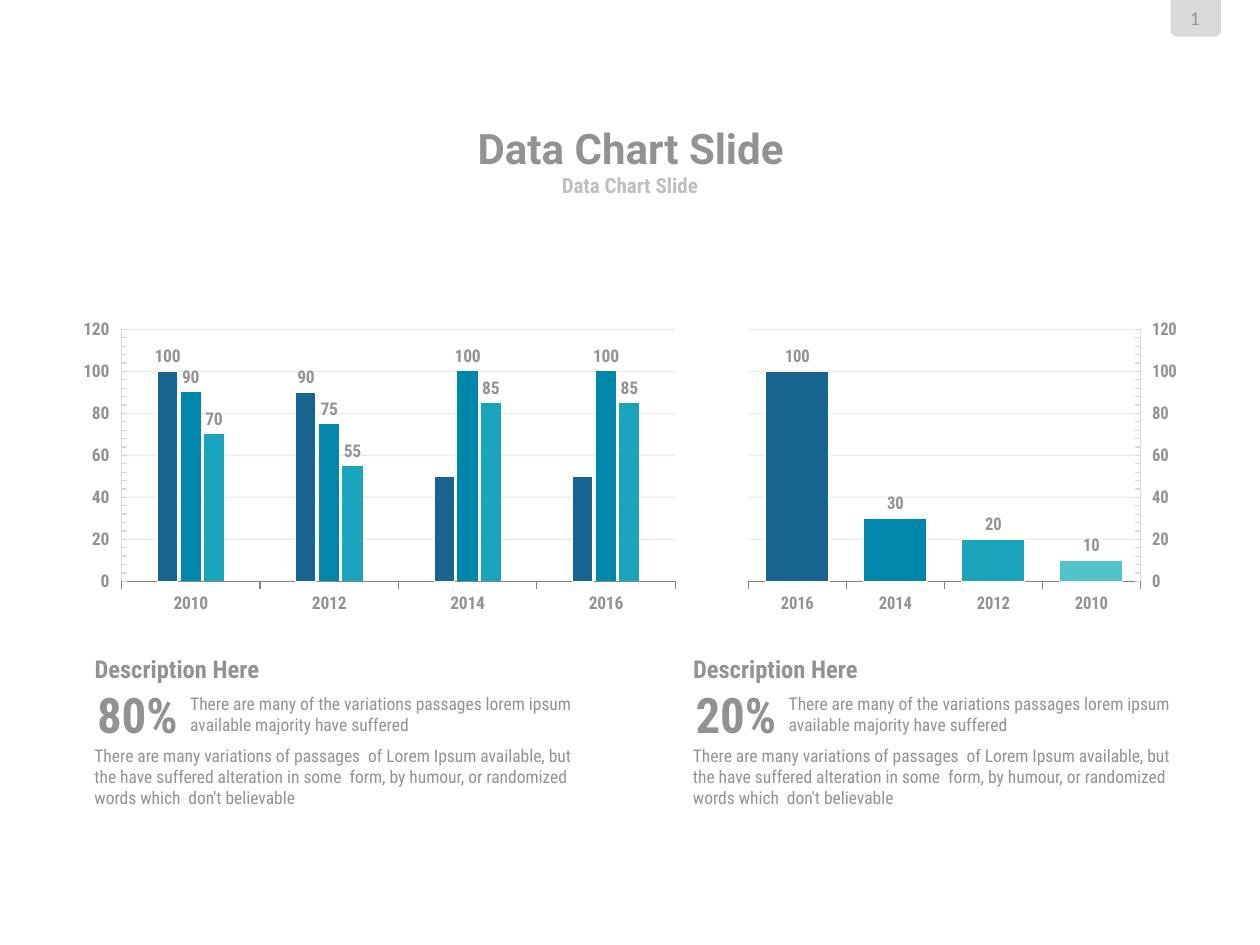
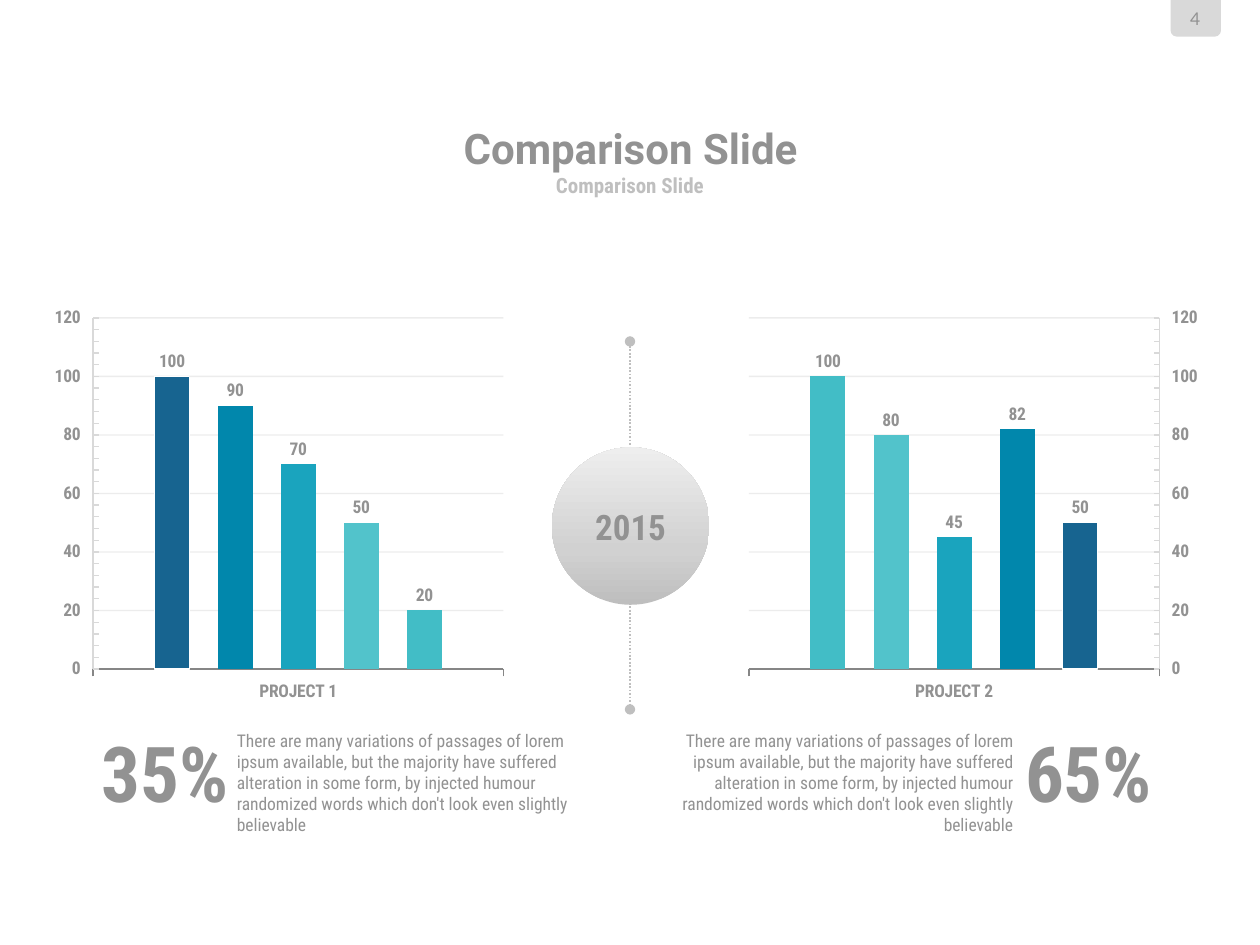
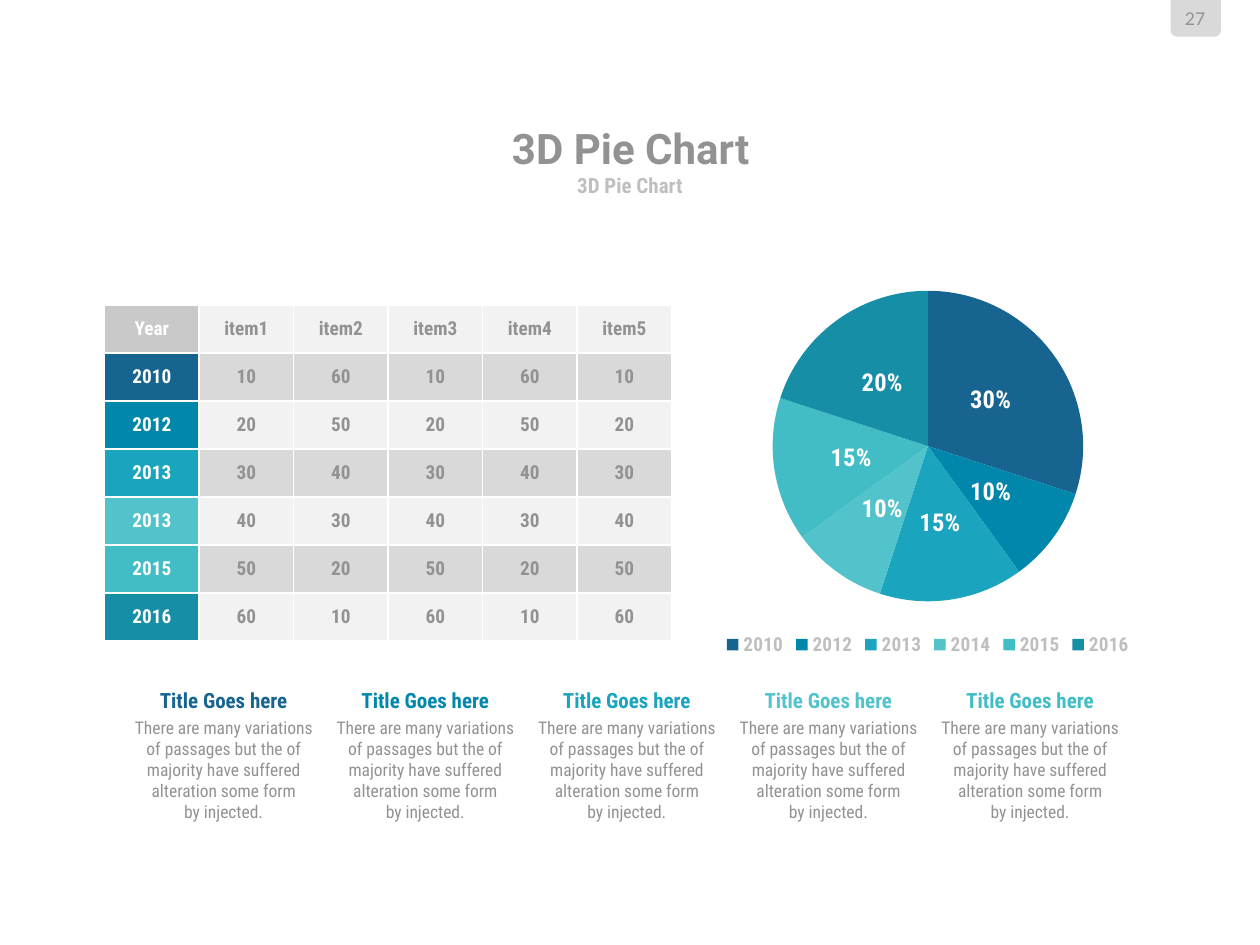
from dataclasses import dataclass
from typing import Optional

from lxml import etree
from pptx import Presentation
from pptx.chart.data import CategoryChartData
from pptx.dml.color import RGBColor
from pptx.enum.chart import (XL_CHART_TYPE, XL_LABEL_POSITION, XL_LEGEND_POSITION,
                             XL_TICK_LABEL_POSITION, XL_TICK_MARK)
from pptx.enum.dml import MSO_LINE
from pptx.enum.shapes import MSO_CONNECTOR, MSO_SHAPE
from pptx.enum.text import MSO_ANCHOR, PP_ALIGN
from pptx.oxml import parse_xml
from pptx.oxml.ns import nsdecls, qn
from pptx.util import Inches, Pt

GRAY, SILVER, LIGHT, PALE, WHITE = "929292", "BFBFBF", "D9D9D9", "F2F2F2", "FFFFFF"
HEADER, AXIS = "C9C9C9", "868686"
PALETTE = ["176490", "0187AC", "1AA4BE", "52C3CB", "42BDC6", "168EA6"]
FONT, TITLE_FONT, NUMBER_FONT = "Roboto Condensed", "Roboto", "Lato"
LEFT, CENTER, RIGHT = PP_ALIGN.LEFT, PP_ALIGN.CENTER, PP_ALIGN.RIGHT


@dataclass
class Box:
    x: float
    y: float
    w: float
    h: float

    def emu(self):
        return [Inches(v) for v in (self.x, self.y, self.w, self.h)]


@dataclass
class Style:
    size: float
    bold: bool = False
    color: str = GRAY
    font: str = FONT


@dataclass
class Bars:
    """One column series; only the first `labelled` points get a label, or all if None."""
    values: list
    labelled: Optional[int] = None
    point_colors: tuple = ()


@dataclass
class ColumnChart:
    box: Box
    categories: list
    series: list
    gap: int
    overlap: int
    mirrored: bool = False
    fixed_plot: bool = False


BODY = Style(10)


def rgb(color: str) -> RGBColor:
    return RGBColor.from_string(color)


def set_font(font, style: Style) -> None:
    font.name, font.size, font.bold = style.font, Pt(style.size), style.bold
    font.color.rgb = rgb(style.color)


def add_text(slide, box: Box, text: str, style: Style, align=LEFT,
             anchor=MSO_ANCHOR.TOP, wrap: bool = True) -> None:
    tf = slide.shapes.add_textbox(*box.emu()).text_frame
    tf.word_wrap, tf.vertical_anchor = wrap, anchor
    tf.margin_left = tf.margin_right = tf.margin_top = tf.margin_bottom = 0
    p = tf.paragraphs[0]
    p.text, p.alignment = text, align
    set_font(p.font, style)


def new_slide(prs, title: str, number: int):
    """Blank slide with the page tab, title and subtitle."""
    slide = prs.slides.add_slide(prs.slide_layouts[6])
    tab = slide.shapes.add_shape(MSO_SHAPE.ROUND_2_SAME_RECTANGLE, *Box(9.29, 0, 0.4, 0.29).emu())
    tab.rotation = 180
    tab.shadow.inherit = False
    tab.fill.solid()
    tab.fill.fore_color.rgb = rgb(LIGHT)
    tab.line.fill.background()
    middle = MSO_ANCHOR.MIDDLE
    add_text(slide, Box(9.32, 0.06, 0.33, 0.17), str(number),
             Style(10, font=NUMBER_FONT), CENTER, middle)
    add_text(slide, Box(1.92, 0.98, 6.17, 0.39), title,
             Style(24, True, font=TITLE_FONT), CENTER, middle, wrap=False)
    add_text(slide, Box(2.75, 1.36, 4.5, 0.22), title,
             Style(12, True, SILVER), CENTER, middle, wrap=False)
    return slide


def fix_plot_area(chart, x: float, y: float, w: float, h: float) -> None:
    """Place the inner plot area by fractions of the chart."""
    area = chart._chartSpace.chart.plotArea
    for old in area.findall(qn("c:layout")):
        area.remove(old)
    parts = "".join(f'<c:{tag} val="{val}"/>' for tag, val in (
        ("layoutTarget", "inner"), ("xMode", "edge"), ("yMode", "edge"),
        ("x", x), ("y", y), ("w", w), ("h", h)))
    area.insert(0, parse_xml(f'<c:layout {nsdecls("c")}><c:manualLayout>{parts}'
                             "</c:manualLayout></c:layout>"))


def set_line(line, color: str, width: float = 0.75) -> None:
    line.color.rgb = rgb(color)
    line.width = Pt(width)


def style_axes(chart, mirrored: bool) -> None:
    cat, val = chart.category_axis, chart.value_axis
    cat.major_tick_mark = XL_TICK_MARK.OUTSIDE
    cat.reverse_order = mirrored
    set_line(cat.format.line, AXIS)
    val.minimum_scale, val.maximum_scale, val.major_unit = 0, 120, 20
    val.major_tick_mark, val.minor_tick_mark = XL_TICK_MARK.NONE, XL_TICK_MARK.INSIDE
    val.minor_unit = 4
    val.tick_label_position = XL_TICK_LABEL_POSITION.LOW
    set_line(val.format.line, LIGHT)
    val.has_major_gridlines = True
    set_line(val.major_gridlines.format.line, LIGHT)
    grid = val._element.find(qn("c:majorGridlines"))
    for color in grid.iter(qn("a:srgbClr")):
        etree.SubElement(color, qn("a:alpha"), val="48000")


def add_columns(slide, spec: ColumnChart) -> None:
    data = CategoryChartData()
    data.categories = spec.categories
    for i, bars in enumerate(spec.series, 1):
        data.add_series(f"Series {i}", bars.values)
    chart = slide.shapes.add_chart(XL_CHART_TYPE.COLUMN_CLUSTERED, *spec.box.emu(), data).chart
    chart.has_title = chart.has_legend = False
    set_font(chart.font, Style(10, True))
    style_axes(chart, spec.mirrored)
    plot = chart.plots[0]
    plot.gap_width, plot.overlap, plot.vary_by_categories = spec.gap, spec.overlap, False
    for ser, bars, color in zip(plot.series, spec.series, PALETTE):
        ser.invert_if_negative = False
        ser.format.fill.solid()
        ser.format.fill.fore_color.rgb = rgb(color)
        for i, point_color in enumerate(bars.point_colors):
            point = ser.points[i].format
            point.fill.solid()
            point.fill.fore_color.rgb = rgb(point_color)
            set_line(point.line, WHITE)
        ser.data_labels.show_value = bars.labelled is None
        for i in range(bars.labelled or 0):
            ser.points[i].data_label.position = XL_LABEL_POSITION.OUTSIDE_END
    set_line(plot.series[0].format.line, WHITE)
    if spec.fixed_plot:
        fix_plot_area(chart, 0.093, 0.046, 0.879, 0.8)


def add_description(slide, x: float, percent: str) -> None:
    add_text(slide, Box(x + 0.76, 5.5, 3.29, 0.34),
             "There are many of the variations passages lorem ipsum available majority have suffered", BODY)
    add_text(slide, Box(x, 5.19, 1.69, 0.24), "Description Here", Style(14, True))
    add_text(slide, Box(x + 0.02, 5.43, 0.65, 0.47), percent, Style(28, True), wrap=False)
    add_text(slide, Box(x, 5.91, 3.83, 0.5),
             "There are many variations of passages  of Lorem Ipsum available, but the have suffered "
             "alteration in some  form, by humour, or randomized words which  don't believable", BODY)


def add_timeline(slide, year: str) -> None:
    line = slide.shapes.add_connector(MSO_CONNECTOR.STRAIGHT, Inches(5), Inches(2.71),
                                      Inches(5), Inches(5.63))
    set_line(line.line, SILVER, 1)
    line.line.dash_style = MSO_LINE.ROUND_DOT
    ln = line.line._get_or_add_ln()
    for end in ("a:headEnd", "a:tailEnd"):
        etree.SubElement(ln, qn(end), type="oval")
    etree.SubElement(line._element.spPr, qn("a:effectLst"))

    circle = slide.shapes.add_shape(MSO_SHAPE.OVAL, *Box(4.38, 3.55, 1.25, 1.25).emu())
    circle.shadow.inherit = False
    circle.line.fill.background()
    circle.fill.background()
    stops = "".join(f'<a:gs pos="{pos * 1000}"><a:srgbClr val="{color}"/></a:gs>'
                    for pos, color in ((0, "BEBEBE"), (35, "D1D1D1"), (100, "EEEEEE")))
    sp_pr = circle._element.spPr
    sp_pr.replace(sp_pr.find(qn("a:noFill")), parse_xml(
        f'<a:gradFill {nsdecls("a")} rotWithShape="1"><a:gsLst>{stops}</a:gsLst>'
        '<a:lin ang="16200000" scaled="0"/></a:gradFill>'))
    tf = circle.text_frame
    tf.vertical_anchor = MSO_ANCHOR.MIDDLE
    p = tf.paragraphs[0]
    p.text, p.alignment = year, CENTER
    set_font(p.font, Style(20, True))


def style_cell(cell, text: str, fill: str, color: str) -> None:
    cell.fill.solid()
    cell.fill.fore_color.rgb = rgb(fill)
    cell.vertical_anchor = MSO_ANCHOR.MIDDLE
    p = cell.text_frame.paragraphs[0]
    p.text, p.alignment = text, CENTER
    set_font(p.font, Style(11, True, color))
    tc_pr = cell._tc.get_or_add_tcPr()
    for i, side in enumerate(("lnL", "lnR", "lnT", "lnB")):
        tc_pr.insert(i, parse_xml(
            f'<a:{side} {nsdecls("a")} w="12700"><a:solidFill><a:srgbClr val="{WHITE}"/>'
            f"</a:solidFill></a:{side}>"))


def add_year_table(slide) -> None:
    rows = [["Year"] + [f"item{i}" for i in range(1, 6)]]
    for i, year in enumerate(("2010", "2012", "2013", "2013", "2015", "2016")):
        odd, even = str(10 + 10 * i), str(60 - 10 * i)
        rows.append([year, odd, even, odd, even, odd])
    table = slide.shapes.add_table(len(rows), 6, *Box(0.83, 2.42, 4.5, 2.67).emu()).table
    for r, (row, key_fill) in enumerate(zip(rows, [HEADER] + PALETTE)):
        for c, text in enumerate(row):
            band = LIGHT if r % 2 else PALE
            style_cell(table.cell(r, c), text, band if c else key_fill, GRAY if c else WHITE)


def add_pie(slide) -> None:
    data = CategoryChartData(number_format="0%")
    data.categories = ["2010", "2012", "2013", "2014", "2015", "2016"]
    data.add_series("Series 1", [0.3, 0.1, 0.15, 0.1, 0.15, 0.2])
    chart = slide.shapes.add_chart(XL_CHART_TYPE.PIE, *Box(5.46, 2.17, 3.81, 3.08).emu(), data).chart
    chart.has_title = False
    set_font(chart.font, Style(16, color=WHITE))
    chart.has_legend = True
    chart.legend.position = XL_LEGEND_POSITION.BOTTOM
    chart.legend.include_in_layout = False
    set_font(chart.legend.font, Style(11, True, SILVER))
    ser = chart.plots[0].series[0]
    for i, color in enumerate(PALETTE):
        fill = ser.points[i].format.fill
        fill.solid()
        fill.fore_color.rgb = rgb(color)
    labels = ser.data_labels
    labels.show_value, labels.position = True, XL_LABEL_POSITION.CENTER
    set_font(labels.font, Style(14, True, WHITE))


def add_titled_text(slide, x: float, color: str) -> None:
    tf = slide.shapes.add_textbox(*Box(x, 5.41, 1.69, 1.18).emu()).text_frame
    tf.word_wrap = True
    head, body = tf.paragraphs[0], tf.add_paragraph()
    head.text = "Title Goes here"
    body.text = ("There are many variations of passages but the of majority "
                 "have suffered alteration some form\nby injected.")
    body.space_before = Pt(2)
    for p, style in ((head, Style(12, True, color)), (body, BODY)):
        p.alignment = CENTER
        set_font(p.font, style)


def data_chart_slide(prs) -> None:
    slide = new_slide(prs, "Data Chart Slide", 1)
    years = ["2010", "2012", "2014", "2016"]
    add_columns(slide, ColumnChart(
        Box(0.5, 2.5, 5, 2.5), years,
        [Bars([100, 90, 50, 50], labelled=2), Bars([90, 75, 100, 100]), Bars([70, 55, 85, 85])],
        gap=351, overlap=-14, fixed_plot=True))
    add_columns(slide, ColumnChart(
        Box(5.61, 2.5, 3.73, 2.5), years,
        [Bars([10, 20, 30, 100], point_colors=tuple(PALETTE[3:0:-1]))],
        gap=55, overlap=-16, mirrored=True, fixed_plot=True))
    add_description(slide, 0.75, "80%")
    add_description(slide, 5.5, "20%")


def comparison_slide(prs) -> None:
    slide = new_slide(prs, "Comparison Slide", 4)
    for x, name, values, mirrored in ((0.36, "PROJECT 1", (100, 90, 70, 50, 20), False),
                                      (5.87, "PROJECT 2", (50, 82, 45, 80, 100), True)):
        add_columns(slide, ColumnChart(Box(x, 2.38, 3.71, 3.25), [name],
                                       [Bars([v]) for v in values], 351, -80, mirrored))
    add_timeline(slide, "2015")
    for percent, percent_x, text_x, align in (("35%", 0.8, 1.88, LEFT), ("65%", 8.13, 5.08, RIGHT)):
        add_text(slide, Box(percent_x, 5.76, 1.02, 0.74), percent, Style(44, True), CENTER, wrap=False)
        add_text(slide, Box(text_x, 5.79, 2.96, 0.67),
                 "There are many variations of passages of lorem ipsum available, but the majority "
                 "have suffered alteration in some form, by injected humour randomized words which "
                 "don't look even slightly believable", BODY, align)


def pie_slide(prs) -> None:
    slide = new_slide(prs, "3D Pie Chart", 27)
    add_pie(slide)
    add_year_table(slide)
    for i, color in enumerate(PALETTE[:5]):
        add_titled_text(slide, 0.93 + 1.6 * i, color)


def main() -> None:
    prs = Presentation()
    prs.slide_width, prs.slide_height = Inches(10), Inches(7.5)
    data_chart_slide(prs)
    comparison_slide(prs)
    pie_slide(prs)
    prs.save("out.pptx")


if __name__ == "__main__":
    main()
